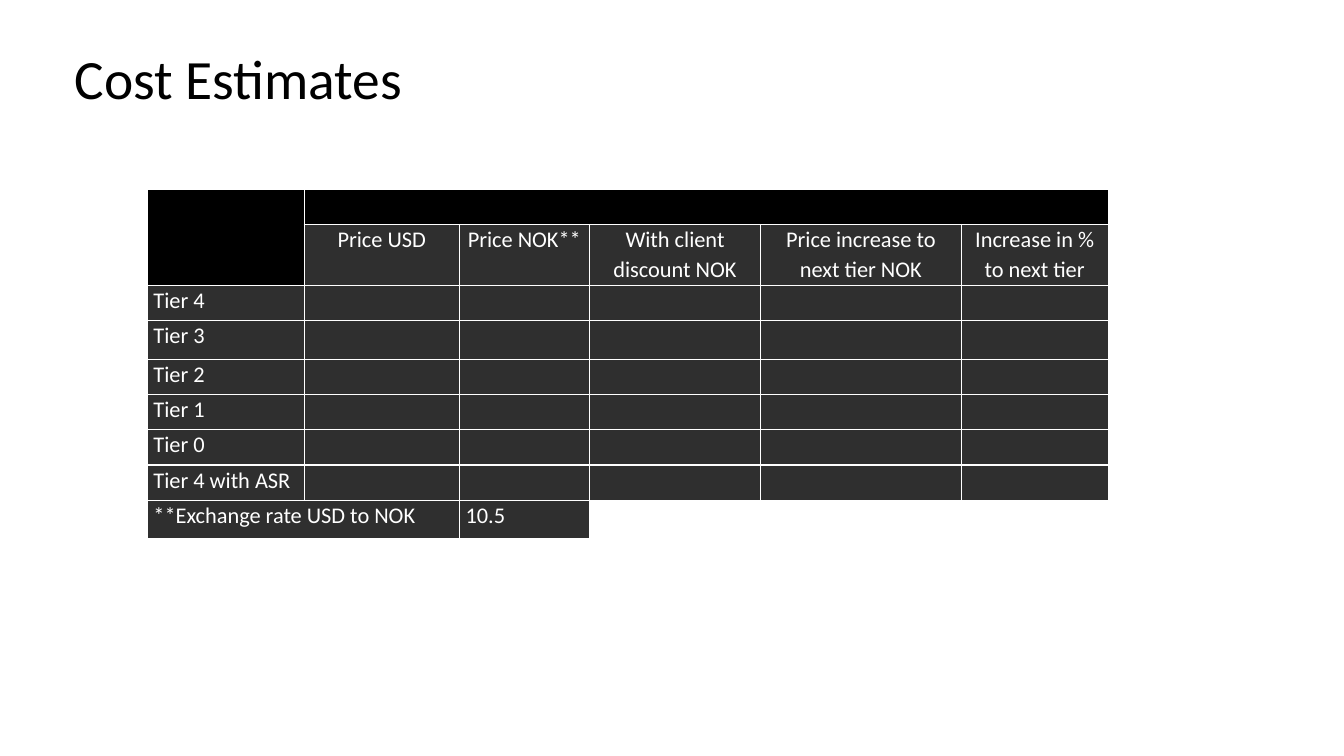
from dataclasses import dataclass

from lxml.etree import SubElement
from pptx import Presentation
from pptx.dml.color import RGBColor
from pptx.enum.text import MSO_ANCHOR, PP_ALIGN as Align
from pptx.oxml.ns import qn
from pptx.table import Table, _Cell as Cell
from pptx.text.text import _Paragraph as Paragraph
from pptx.util import Pt

FONT = "Calibri"
COLORS = {"black": "000000", "dark": "2F2F2F", "white": "FFFFFF"}
COLUMN_WIDTHS = [112.2, 110.8, 92.9, 122.4, 143.2, 105]
ROW_HEIGHTS = [25.2, 43.4, 25.2, 27.5, 25.2, 25.2, 25.2, 25.2, 27.5]
HEADINGS = [
    "Price USD",
    "Price NOK**",
    "With client discount NOK",
    "Price increase to next tier NOK",
    "Increase in % to next tier",
]
TIERS = ["Tier 4", "Tier 3", "Tier 2", "Tier 1", "Tier 0", "Tier 4 with ASR"]
FIRST_TIER_ROW = 2
RATE_ROW = len(ROW_HEIGHTS) - 1


@dataclass(frozen=True)
class CellContent:
    text: str = ""
    fill: str = "dark"
    alignment: Align = Align.LEFT


@dataclass(frozen=True)
class Span:
    first: tuple[int, int]
    last: tuple[int, int]


SPANS = [
    Span((0, 0), (1, 0)),
    Span((0, 1), (0, 5)),
    Span((RATE_ROW, 0), (RATE_ROW, 1)),
    Span((RATE_ROW, 3), (RATE_ROW, 5)),
]


def format_paragraph(paragraph: Paragraph, size: float, color: str,
                     alignment: Align, line_spacing: float) -> None:
    paragraph.alignment = alignment
    paragraph.line_spacing = line_spacing
    paragraph.font.name = FONT
    paragraph.font.size = Pt(size)
    paragraph.font.color.rgb = RGBColor.from_string(COLORS[color])


def add_borders(cell: Cell) -> None:
    properties = cell._tc.get_or_add_tcPr()
    for side in ("lnL", "lnR", "lnT", "lnB"):
        line = SubElement(properties, qn(f"a:{side}"), w=str(Pt(1)))
        fill = SubElement(line, qn("a:solidFill"))
        SubElement(fill, qn("a:srgbClr"), val=COLORS["white"])


def fill_cell(cell: Cell, content: CellContent) -> None:
    add_borders(cell)
    cell.fill.solid()
    cell.fill.fore_color.rgb = RGBColor.from_string(COLORS[content.fill])
    cell.margin_left = cell.margin_right = Pt(4.5)
    cell.margin_top = cell.margin_bottom = 0
    cell.text = content.text
    paragraph = cell.text_frame.paragraphs[0]
    format_paragraph(paragraph, 16, "white", content.alignment, 1.07)
    paragraph.space_after = Pt(8)


def cell_content(row: int, column: int) -> CellContent:
    if row == 0 or (row == 1 and column == 0):
        return CellContent(fill="black")
    if row == 1:
        return CellContent(HEADINGS[column - 1], alignment=Align.CENTER)
    if row == RATE_ROW:
        if column >= 3:
            return CellContent(fill="white")
        return CellContent(["**Exchange rate USD to NOK", "", "10.5"][column])
    return CellContent(TIERS[row - FIRST_TIER_ROW] if column == 0 else "")


def fill_table(table: Table) -> None:
    table.first_row = table.horz_banding = False
    for column, width in zip(table.columns, COLUMN_WIDTHS):
        column.width = Pt(width)
    for row, height in zip(table.rows, ROW_HEIGHTS):
        row.height = Pt(height)
    for row in range(len(ROW_HEIGHTS)):
        for column in range(len(COLUMN_WIDTHS)):
            fill_cell(table.cell(row, column), cell_content(row, column))
    for span in SPANS:
        table.cell(*span.first).merge(table.cell(*span.last))


def main() -> None:
    presentation = Presentation()
    presentation.slide_width, presentation.slide_height = Pt(960), Pt(540)
    slide = presentation.slides.add_slide(presentation.slide_layouts[5])

    title = slide.shapes.title
    title.left, title.top, title.width, title.height = (
        Pt(46), Pt(36), Pt(867.6), Pt(44))
    title.text_frame.text = "Cost Estimates"
    title.text_frame.vertical_anchor = MSO_ANCHOR.MIDDLE
    format_paragraph(title.text_frame.paragraphs[0], 39.6, "black", Align.LEFT, 0.9)

    frame = slide.shapes.add_table(
        len(ROW_HEIGHTS), len(COLUMN_WIDTHS), Pt(105.1), Pt(135.2),
        Pt(sum(COLUMN_WIDTHS)), Pt(sum(ROW_HEIGHTS)))
    fill_table(frame.table)
    presentation.save("out.pptx")


if __name__ == "__main__":
    main()
